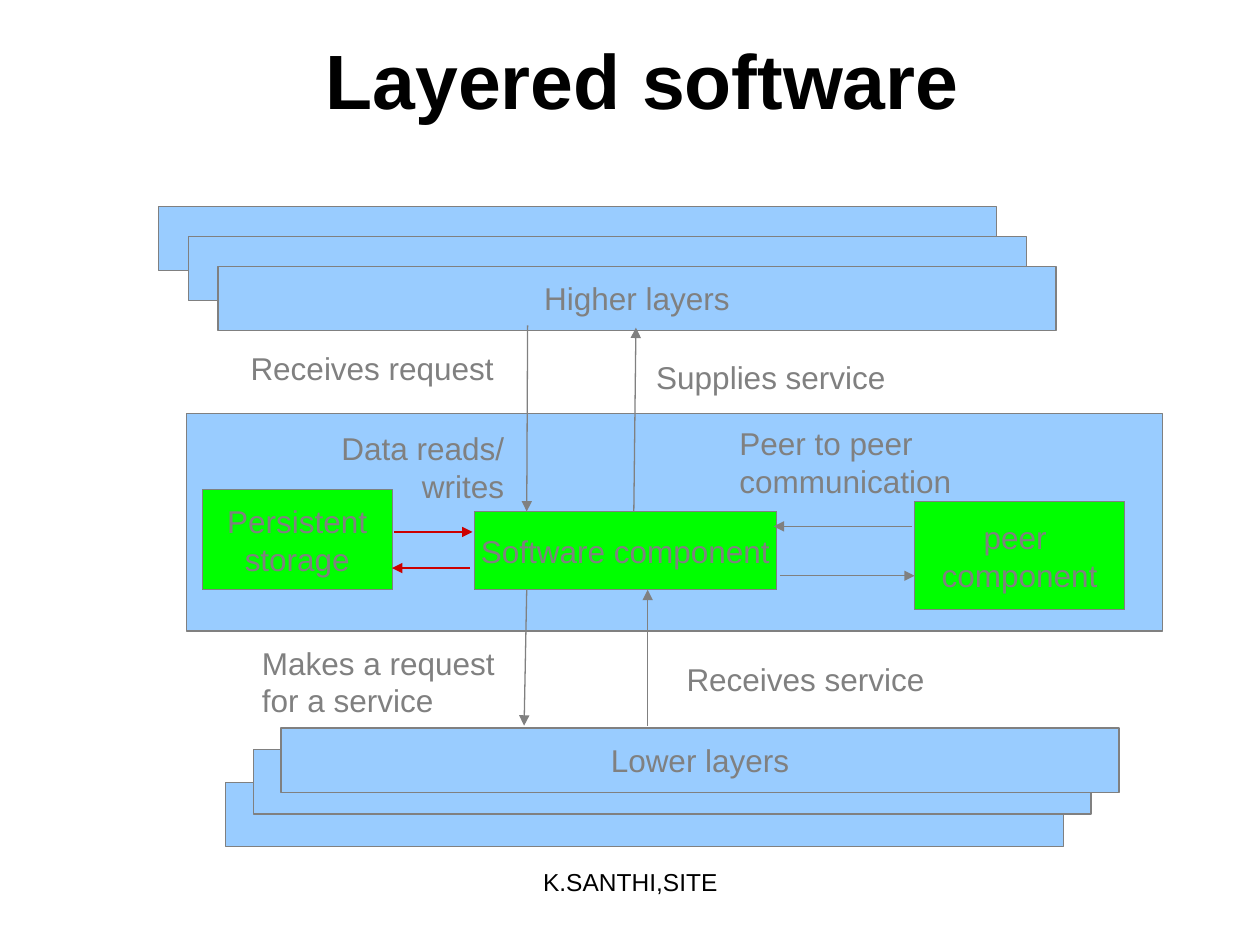
from lxml import etree
from pptx import Presentation
from pptx.dml.color import RGBColor
from pptx.enum import shapes, text
from pptx.oxml import ns
from pptx.util import Pt

BLUE = RGBColor(0x99, 0xCC, 0xFF)
GREEN = RGBColor(0x00, 0xFF, 0x00)
GRAY = RGBColor(0x80, 0x80, 0x80)
RED = RGBColor(0xCC, 0x00, 0x00)
BLACK = RGBColor(0, 0, 0)
LEFT, MID, RIGHT = text.PP_ALIGN.LEFT, text.PP_ALIGN.CENTER, text.PP_ALIGN.RIGHT

deck = Presentation()
deck.slide_width, deck.slide_height = Pt(720), Pt(540)
slide = deck.slides.add_slide(deck.slide_layouts[5])


def write(shape, words, size=18, color=GRAY, align=MID, bold=False):
    frame = shape.text_frame
    frame.text = words
    for para in frame.paragraphs:
        para.alignment = align
        for run in para.runs:
            font = run.font
            font.name, font.size, font.bold = "Arial", Pt(size), bold
            font.color.rgb = color
    return frame


def box(x, y, w, h, fill, words=""):
    rect = slide.shapes.add_shape(
        shapes.MSO_SHAPE.RECTANGLE, Pt(x), Pt(y), Pt(w), Pt(h))
    rect.shadow.inherit = False
    rect.fill.solid()
    rect.fill.fore_color.rgb = fill
    rect.line.color.rgb = GRAY
    rect.line.width = Pt(0.75)
    if words:
        frame = write(rect, words)
        frame.word_wrap = False
        frame.vertical_anchor = text.MSO_ANCHOR.MIDDLE


# Title
title = slide.shapes.title
title.left, title.top, title.width, title.height = Pt(61.2), Pt(0), Pt(612), Pt(90)
frame = write(title, "Layered software", 44, BLACK, bold=True)
frame.vertical_anchor = text.MSO_ANCHOR.MIDDLE
frame.auto_size = text.MSO_AUTO_SIZE.NONE

# Stacks of higher and lower layers, back to front
for i, words in enumerate(["", "", "Higher layers"]):
    box(90.6 + 17 * i, 118.1 + 17 * i, 478.8, 36.7, BLUE, words)
for i, (y, words) in enumerate([(447, ""), (428.4, ""), (416, "Lower layers")]):
    box(128.9 + 15.85 * i, y, 478.8, 36.7, BLUE, words)

# Middle layer with its components
box(106.4, 236.2, 558, 124.5, BLUE)
box(271, 292.3, 172.8, 44.8, GREEN, "Software component")
box(522.7, 286.6, 119.8, 61.7, GREEN, "peer \ncomponent")
box(115.5, 279.9, 108.7, 57.2, GREEN, "Persistent\nstorage")

# Arrows, each pointing at its second end
arrows = [
    (301.5, 186, 301, 292.3, GRAY),
    (362.2, 292.3, 363.4, 187.2, GRAY),
    (301, 337, 299.5, 414.7, GRAY),
    (370.1, 414.7, 370.1, 337, GRAY),
    (521.3, 300.8, 442.1, 300.8, GRAY),
    (445.7, 329, 522.7, 329, GRAY),
    (225.2, 304, 270, 304, RED),
    (268.6, 324.6, 224, 324.6, RED),
]
for x1, y1, x2, y2, color in arrows:
    arrow = slide.shapes.add_connector(
        shapes.MSO_CONNECTOR.STRAIGHT, Pt(x1), Pt(y1), Pt(x2), Pt(y2))
    arrow.line.color.rgb = color
    arrow.line.width = Pt(0.75)
    etree.SubElement(arrow.line._get_or_add_ln(), ns.qn("a:tailEnd"), type="triangle")
    etree.SubElement(arrow._element.spPr, ns.qn("a:effectLst"))

# Labels
labels = [
    (136.1, 195.8, 153.4, 28.8, LEFT, "Receives request"),
    (367.9, 200.9, 145.4, 28.8, LEFT, "Supplies service"),
    (187.9, 241.9, 107.3, 50.4, RIGHT, "Data reads/\nwrites"),
    (415.4, 239, 135.4, 50.4, LEFT, "Peer to peer\ncommunication"),
    (142.6, 364.3, 147.6, 50.4, LEFT, "Makes a request\nfor a service"),
    (385.2, 373.7, 150.5, 28.8, LEFT, "Receives service"),
]
for x, y, w, h, align, words in labels:
    label = slide.shapes.add_textbox(Pt(x), Pt(y), Pt(w), Pt(h))
    frame = write(label, words, align=align)
    frame.word_wrap = False
    frame.auto_size = text.MSO_AUTO_SIZE.SHAPE_TO_FIT_TEXT

# Footer
foot = slide.shapes.add_textbox(Pt(246.2), Pt(491.8), Pt(228.2), Pt(37.4))
write(foot, "K.SANTHI,SITE", 14, BLACK).word_wrap = True

deck.save("out.pptx")
